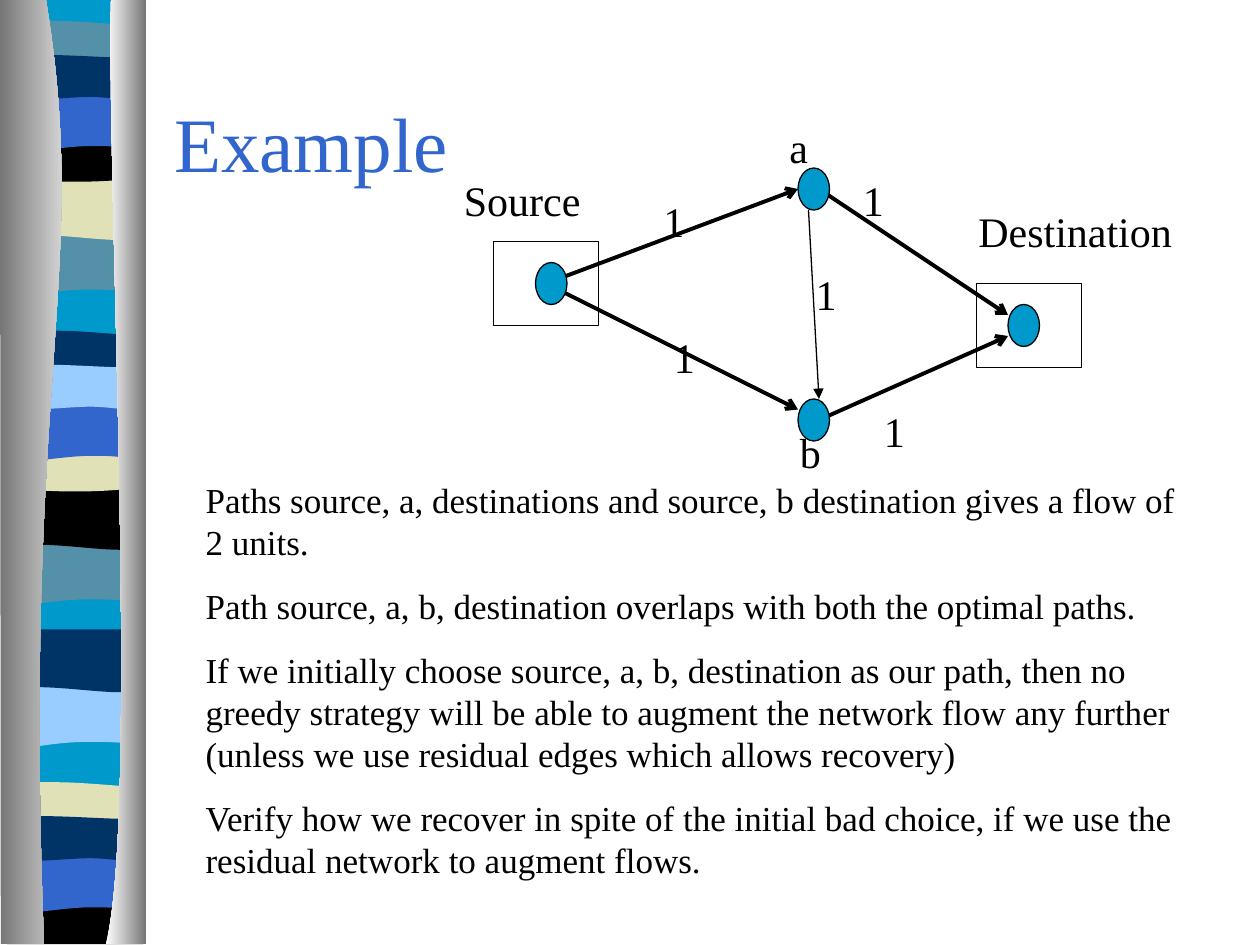
import pptx
import pptx.dml.color
import pptx.enum.shapes
import pptx.enum.text
import pptx.oxml.ns
import pptx.util
from lxml import etree

Pt = pptx.util.Pt
qn = pptx.oxml.ns.qn

FONT = "Times New Roman"
COLORS = {
    "black": "000000", "white": "FFFFFF", "cyan": "0099CC", "slate": "5490A8",
    "sand": "E1E1B7", "blue": "3366CC", "navy": "003366", "sky": "99CCFF",
    "gray": "767676",
}

# Band outlines in points: two numbers make a line, six make a curve
BANDS = {
    "dip": (133.2, [(78, 0), (78, 34), (24, 28, 13, 40, 0, 34), (0, 0)]),
    "swell": (101.2, [(78, 0), (78, 34), (65, 40, 28, 30, 0, 34), (0, 0)]),
    "ribbon": (11.5, [(78, 3.5), (78, 21), (65, 24, 13, 24, 0, 21), (0, 3.5),
                      (4.5, 0, 16.5, 0.5, 29.5, 0.5),
                      (42.5, 0.5, 67.5, 3, 78, 3.5)]),
    "bowl": (77.5, [(78, 0), (78, 23), (65, 27.5, 13, 27.5, 0, 23), (0, 0),
                    (47.5, 3.5, 61, 0, 78, 0)]),
    "foot": (77.5, [(78, 0), (78, 27), (0, 27), (0, 0),
                    (47.5, 3.5, 61, 0, 78, 0)]),
    "arch": (53.5, [(78, 0), (78, 34), (65.5, 30, 60.5, 30, 47.5, 30),
                    (34.5, 30, 11.5, 34, 0, 34), (0, 0)]),
    "wave": (29.4, [(78, 3.5), (78, 26), (73, 29.5, 60.5, 26, 47.5, 26),
                    (34.5, 26, 8, 29.5, 0, 26), (0, 3.5),
                    (11, 0, 52.5, 3.5, 65.5, 3.5),
                    (78.5, 3.5, 75.5, 3.5, 78, 3.5)]),
}

# Each set of bands: its vertical offset, then the colour of each band
BAND_SETS = [
    (0, {"dip": "slate", "swell": "sand", "ribbon": "slate",
         "bowl": "black", "arch": "blue", "wave": "navy"}),
    (177, {"dip": "slate", "swell": "black", "ribbon": "navy",
           "bowl": "sand", "arch": "blue", "wave": "sky"}),
    (258.4, {"dip": "sky", "swell": "navy"}),
    (435, {"ribbon": "sand", "foot": "black", "arch": "blue", "wave": "navy"}),
]

PANEL = [(78, 0), (78, 539), (0, 539), (0, 0)]
LEFT_PILLAR = [(26.2, -0.5), (52, 155.5, 12.5, 213, 25.2, 539.5), (0.5, 539.5), (0, -0.5)]
RIGHT_PILLAR = [(63.5, -0.5), (60.5, 90, 80, 465, 60.5, 539.5), (83.5, 539.5), (83.5, 0)]

BODY = [
    "Paths source, a, destinations and source, b destination gives a flow of 2 units.",
    "Path source, a, b, destination overlaps with both the optimal paths.",
    "If we initially choose source, a, b, destination as our path, then no greedy "
    "strategy will be able to augment the network flow any further (unless we use "
    "residual edges which allows recovery)",
    "Verify how we recover in spite of the initial bad choice, if we use the residual "
    "network to augment flows.",
]


def color(name):
    return pptx.dml.color.RGBColor.from_string(COLORS[name])


def bend_curves(shape, outline):
    """Join the three line points of each curve into one cubic segment."""
    lines = iter(list(shape._element.iter(qn("a:lnTo"))))
    for part in outline[1:]:
        line = next(lines)
        if len(part) == 6:
            line.tag = qn("a:cubicBezTo")
            for extra in (next(lines), next(lines)):
                line.append(extra[0])
                extra.getparent().remove(extra)


def add_outline(page, outline, left=0, top=0, fill=None, gradient=None):
    points = [(Pt(left + part[i]), Pt(top + part[i + 1]))
              for part in outline for i in range(0, len(part), 2)]
    builder = page.shapes.build_freeform(*points[0])
    builder.add_line_segments(points[1:], close=False)
    # Every outline ends by closing on its first point
    builder.add_line_segments([], close=True)
    shape = builder.convert_to_shape()
    bend_curves(shape, outline)
    shape.shadow.inherit = False
    shape.line.fill.background()
    if gradient:
        shape.fill.gradient()
        shape.fill.gradient_angle = 0
        for stop, name, position in zip(shape.fill.gradient_stops, gradient, (0, 1)):
            stop.color.rgb = color(name)
            stop.position = position
    else:
        shape.fill.solid()
        shape.fill.fore_color.rgb = color(fill)


def add_preset(page, kind, left, top, width, height, fill=None):
    shape = page.shapes.add_shape(kind, Pt(left), Pt(top), Pt(width), Pt(height))
    shape.shadow.inherit = False
    shape.line.color.rgb = color("black")
    shape.line.width = Pt(0.75)
    if fill:
        shape.fill.solid()
        shape.fill.fore_color.rgb = color(fill)
    else:
        shape.fill.background()


def add_arrow(page, start, end, width=2.25, head="arrow"):
    arrow = page.shapes.add_connector(
        pptx.enum.shapes.MSO_CONNECTOR.STRAIGHT, *map(Pt, start + end))
    arrow.line.color.rgb = color("black")
    arrow.line.width = Pt(width)
    etree.SubElement(arrow.line._get_or_add_ln(), qn("a:tailEnd"), type=head)
    etree.SubElement(arrow._element.spPr, qn("a:effectLst"))


def add_text(page, paragraphs, left, top, width, height=36, size=24, ink="black",
             before=0, middle=False):
    box = page.shapes.add_textbox(Pt(left), Pt(top), Pt(width), Pt(height))
    frame = box.text_frame
    frame.word_wrap = True
    if middle:
        frame.vertical_anchor = pptx.enum.text.MSO_ANCHOR.MIDDLE
    else:
        frame.auto_size = pptx.enum.text.MSO_AUTO_SIZE.SHAPE_TO_FIT_TEXT
    for index, text in enumerate(paragraphs):
        para = frame.add_paragraph() if index else frame.paragraphs[0]
        para.space_before = Pt(before)
        span = para.add_run()
        span.text = text
        span.font.name = FONT
        span.font.size = Pt(size)
        span.font.color.rgb = color(ink)


def add_border(page):
    add_outline(page, PANEL, left=4, top=-0.5, fill="cyan")
    for offset, bands in BAND_SETS:
        for kind, fill in bands.items():
            top, outline = BANDS[kind]
            add_outline(page, outline, left=4, top=top + offset, fill=fill)
    add_outline(page, LEFT_PILLAR, gradient=("gray", "white"))
    add_outline(page, RIGHT_PILLAR, gradient=("white", "gray"))


def add_network(page):
    kinds = pptx.enum.shapes.MSO_SHAPE
    # Frames around the source and the destination
    for left, top in [(282, 138), (558, 162)]:
        add_preset(page, kinds.RECTANGLE, left, top, 60, 48)
    # Edges, under the nodes
    for start, end in [((312, 162), (456, 108)), ((312, 162), (456, 234)),
                       ((468, 108), (576, 180)), ((468, 240), (576, 192))]:
        add_arrow(page, start, end)
    for left, top in [(306, 150), (456, 96), (576, 174), (456, 228)]:
        add_preset(page, kinds.OVAL, left, top, 18, 24, fill="cyan")
    # Names of the ends, and the capacities
    for text, left, top in [("Source", 258, 96), ("Destination", 552, 114)]:
        add_text(page, [text], left, top, 150)
    for left, top in [(372, 108), (486, 96), (378, 186), (498, 228)]:
        add_text(page, ["1"], left, top, 114)
    # The edge from a to b
    add_arrow(page, (462, 120), (468, 228), width=0.75, head="triangle")
    add_text(page, ["1"], 459, 150, 114)
    for text, left, top in [("a", 444, 66), ("b", 450, 240)]:
        add_text(page, [text], left, top, 36, before=15)


def main():
    deck = pptx.Presentation()
    deck.slide_width, deck.slide_height = Pt(720), Pt(540)
    page = deck.slides.add_slide(deck.slide_layouts[6])
    add_border(page)
    add_text(page, ["Example"], 92.4, 36, 612, 90, size=44, ink="blue", middle=True)
    add_network(page)
    add_text(page, BODY, 110.4, 270, 576, 237, size=20, before=12.5)
    deck.save("out.pptx")


if __name__ == "__main__":
    main()
